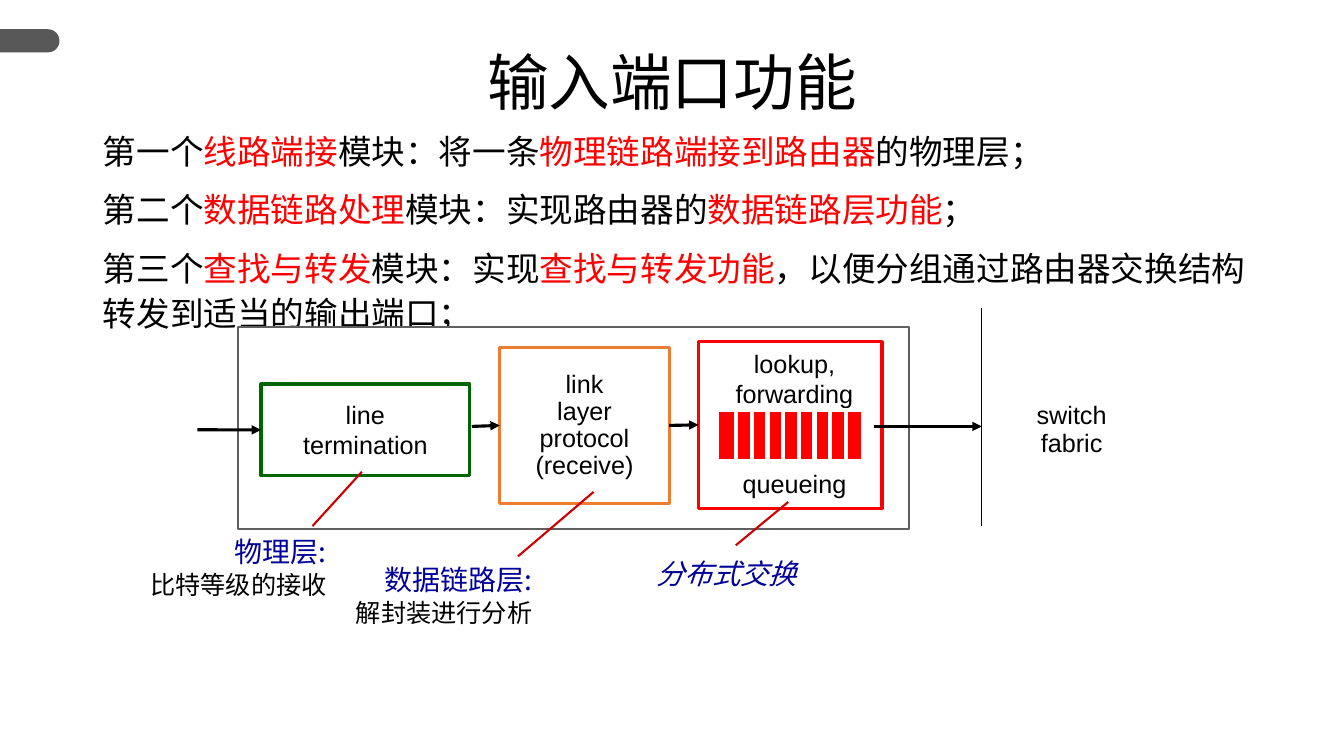
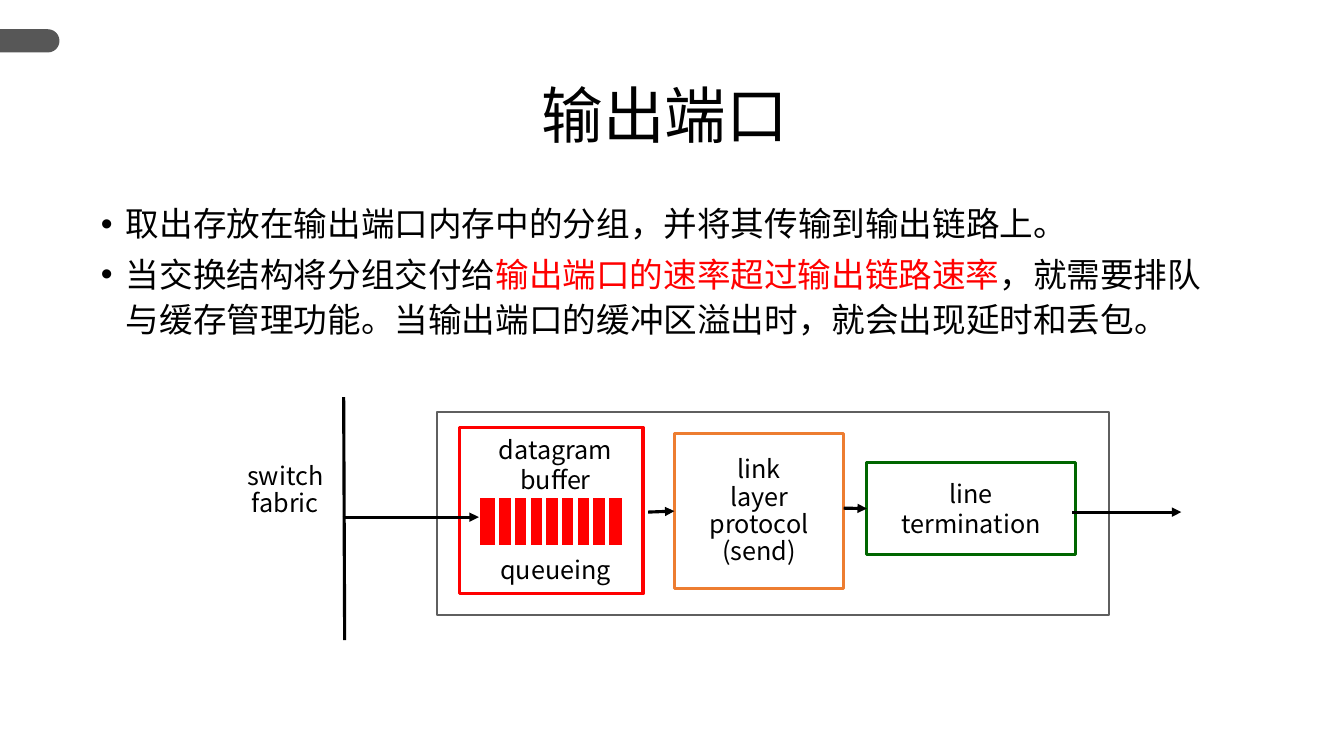
from itertools import cycle

from lxml import etree
from pptx import Presentation
from pptx.dml.color import RGBColor
from pptx.enum.shapes import MSO_CONNECTOR, MSO_SHAPE
from pptx.enum.text import MSO_ANCHOR, PP_ALIGN
from pptx.oxml.ns import qn
from pptx.util import Pt

LEFT, CENTER, RIGHT = PP_ALIGN.LEFT, PP_ALIGN.CENTER, PP_ALIGN.RIGHT
TOP, MIDDLE = MSO_ANCHOR.TOP, MSO_ANCHOR.MIDDLE
RECTANGLE, TAB = MSO_SHAPE.RECTANGLE, MSO_SHAPE.ROUND_2_SAME_RECTANGLE
STRAIGHT = MSO_CONNECTOR.STRAIGHT
LEFT_SIDE, RIGHT_SIDE = 1, 3

COLORS = {
    "black": "000000", "white": "FFFFFF", "red": "FF0000", "tab": "575757",
    "frame": "5F5F5F", "green": "006600", "orange": "ED7D31",
    "pointer": "CC0000", "navy": "000099",
}
SANS, HAN = "Arial", "Noto Sans CJK SC"
LOOSE, TIGHT = 21.5, 19.5


class PortDeck:
    def __init__(self):
        self.deck = Presentation()
        self.deck.slide_width, self.deck.slide_height = Pt(960), Pt(540)
        self.shapes = None
        self.font = HAN

    def color(self, name):
        return RGBColor.from_string(COLORS[name])

    def page(self, title, top, width, title_font, font):
        self.shapes = self.deck.slides.add_slide(self.deck.slide_layouts[6]).shapes
        self.font = font
        tab = self.rect(12.95, 7.95, 16.6, 42.5, "tab", kind=TAB)
        tab.adjustments[0], tab.adjustments[1] = 0.5, 0
        tab.rotation = 90
        self.text(0, top, width, 60, [[title]], 44, 52, CENTER, font=title_font)

    def rect(self, left, top, width, height, fill="white", line=None, weight=2.25,
             kind=RECTANGLE):
        box = self.shapes.add_shape(kind, Pt(left), Pt(top), Pt(width), Pt(height))
        box.shadow.inherit = False
        box.fill.solid()
        box.fill.fore_color.rgb = self.color(fill)
        if line:
            box.line.color.rgb = self.color(line)
            box.line.width = Pt(weight)
        else:
            box.line.fill.background()
        return box

    def fill_text(self, box, paragraphs, size, pitch, align, anchor=TOP, color="black",
                  font=None, before=0, bullet=False, italic=False):
        frame = box.text_frame
        frame.word_wrap = True
        frame.vertical_anchor = anchor
        frame.margin_left = frame.margin_right = Pt(0)
        frame.margin_top = frame.margin_bottom = Pt(0)
        for index, segments in enumerate(paragraphs):
            para = frame.add_paragraph() if index else frame.paragraphs[0]
            para.alignment = align
            para.line_spacing = Pt(pitch)
            para.space_before = Pt(before if index else 0)
            if bullet:
                self.bullet(para)
            for words, tint in zip(segments, cycle((color, "red"))):
                span = para.add_run()
                span.text = words
                span.font.size = Pt(size)
                span.font.italic = italic
                span.font.color.rgb = self.color(tint)
                span.font.name = font or self.font
                east = etree.SubElement(span._r.get_or_add_rPr(), qn("a:ea"))
                east.set("typeface", HAN)

    def bullet(self, para):
        properties = para._p.get_or_add_pPr()
        properties.set("marL", str(Pt(18)))
        properties.set("indent", str(-Pt(18)))
        etree.SubElement(properties, qn("a:buFont")).set("typeface", SANS)
        etree.SubElement(properties, qn("a:buChar")).set("char", "•")

    def text(self, left, top, width, height, paragraphs, size=18, pitch=LOOSE,
             align=LEFT, **style):
        box = self.shapes.add_textbox(Pt(left), Pt(top), Pt(width), Pt(height))
        self.fill_text(box, paragraphs, size, pitch, align, **style)

    def line(self, start, end, color="black", weight=2.25, arrow=False,
             source=None, target=None):
        line = self.shapes.add_connector(STRAIGHT, *map(Pt, start + end))
        line.line.color.rgb = self.color(color)
        line.line.width = Pt(weight)
        properties = line._element.spPr
        etree.SubElement(properties, qn("a:effectLst"))
        if arrow:
            tip = etree.SubElement(properties.find(qn("a:ln")), qn("a:tailEnd"))
            tip.set("type", "triangle")
        if source:
            line.begin_connect(source, RIGHT_SIDE)
        if target:
            line.end_connect(target, LEFT_SIDE)

    def arrow(self, start, end, source=None, target=None):
        self.line(start, end, arrow=True, source=source, target=target)

    def frame(self, left, top):
        self.rect(left, top, 479.5, 144.7, line="frame", weight=1.5)

    def termination(self, left, top):
        box = self.rect(left, top, 149, 65.5, line="green")
        self.fill_text(box, [["line"], ["termination"]], 18, LOOSE, CENTER, MIDDLE)
        return box

    def protocol(self, left, top, direction):
        box = self.rect(left, top, 121, 111, line="orange")
        lines = [["link"], ["layer"], ["protocol"], [direction]]
        self.fill_text(box, lines, 18, TIGHT, CENTER, MIDDLE)
        return box

    def queue(self, left, top, lines):
        box = self.rect(left, top, 131, 119, line="red")
        self.text(left + 19, top + 5, 99, 43, lines, align=CENTER)
        self.text(left + 19, top + 91, 99, 21.5, [["queueing"]], align=CENTER)
        self.rect(left + 13, top + 49, 104.4, 36.7, "red", "white", 3)
        for slot in range(8):
            x = left + 26.8 + 11.2 * slot
            self.line((x, top + 49.7), (x, top + 85), "white", 3)
        return box

    def fabric(self, left, top):
        self.text(left, top, 111, 65.5, [["switch"], ["fabric"]], pitch=TIGHT,
                  align=CENTER, anchor=MIDDLE)

    def caption(self, right, top, heading, detail):
        left = right - 140
        self.text(left, top, 140, 23, [[heading]], 20, 23, RIGHT, color="navy", font=HAN)
        self.text(left, top + 23, 140, 23, [[detail]], 18, 23, RIGHT, font=HAN)

    def pointer(self, start, end):
        self.line(start, end, "pointer", 1.5)


def input_page(style):
    style.page("输入端口功能", 32, 960, SANS, SANS)
    style.text(73.5, 90, 829, 140, [
        ["第一个", "线路端接", "模块：将一条", "物理链路端接到路由器", "的物理层；"],
        ["第二个", "数据链路处理", "模块：实现路由器的", "数据链路层功能", "；"],
        ["第三个", "查找与转发", "模块：实现", "查找与转发功能",
         "，以便分组通过路由器交换结构转发到适当的输出端口；"],
    ], 24, 32, before=10, font=HAN)
    style.frame(170, 233.3)
    termination = style.termination(186.5, 274.3)
    protocol = style.protocol(357, 248.4, "(receive)")
    queue = style.queue(499, 244, [["lookup,"], ["forwarding"]])
    style.arrow((141, 307), (186.5, 307), target=termination)
    style.arrow((337, 304.6), (357, 304), target=protocol)
    style.arrow((478, 304), (499, 303.5), protocol, queue)
    style.arrow((624.2, 304.6), (701.3, 304.6))
    style.line((701.3, 220.3), (701.3, 375.8), weight=0.75)
    style.fabric(710, 274.3)
    style.caption(233.3, 382.5, "物理层:", "比特等级的接收")
    style.caption(380.2, 402.5, "数据链路层:", "解封装进行分析")
    style.text(468.7, 399.3, 121, 24, [["分布式交换"]], 20, 22, color="navy",
               font=HAN, italic=True)
    style.pointer((223.2, 375.8), (258.5, 337))
    style.pointer((370, 397.4), (424, 351.4))
    style.pointer((525.6, 389.5), (563, 358.6))


def output_page(style):
    style.page("输出端口", 56, 950, HAN, HAN)
    style.text(72, 142, 801.5, 110, [
        ["取出存放在输出端口内存中的分组，并将其传输到输出链路上。"],
        ["当交换结构将分组交付给", "输出端口的速率超过输出链路速率",
         "，就需要排队与缓存管理功能。当输出端口的缓冲区溢出时，就会出现延时和丢包。"],
    ], 24, 32, before=4, bullet=True)
    style.frame(312.5, 294.5)
    termination = style.termination(619.2, 330.5)
    protocol = style.protocol(481.7, 309.6, "(send)")
    style.queue(328.3, 305.3, [["datagram"], ["buffer"]])
    style.arrow((463, 365.8), (481.7, 365.1), target=protocol)
    style.arrow((602.7, 363), (619.2, 363.2), target=termination)
    style.arrow((766, 365.8), (843.8, 365.8))
    style.fabric(148.3, 317.5)
    style.line((245.5, 283.7), (246.2, 457.2))
    style.arrow((244.8, 369.4), (342, 369.4))


def main():
    style = PortDeck()
    input_page(style)
    output_page(style)
    style.deck.save("out.pptx")


if __name__ == "__main__":
    main()
